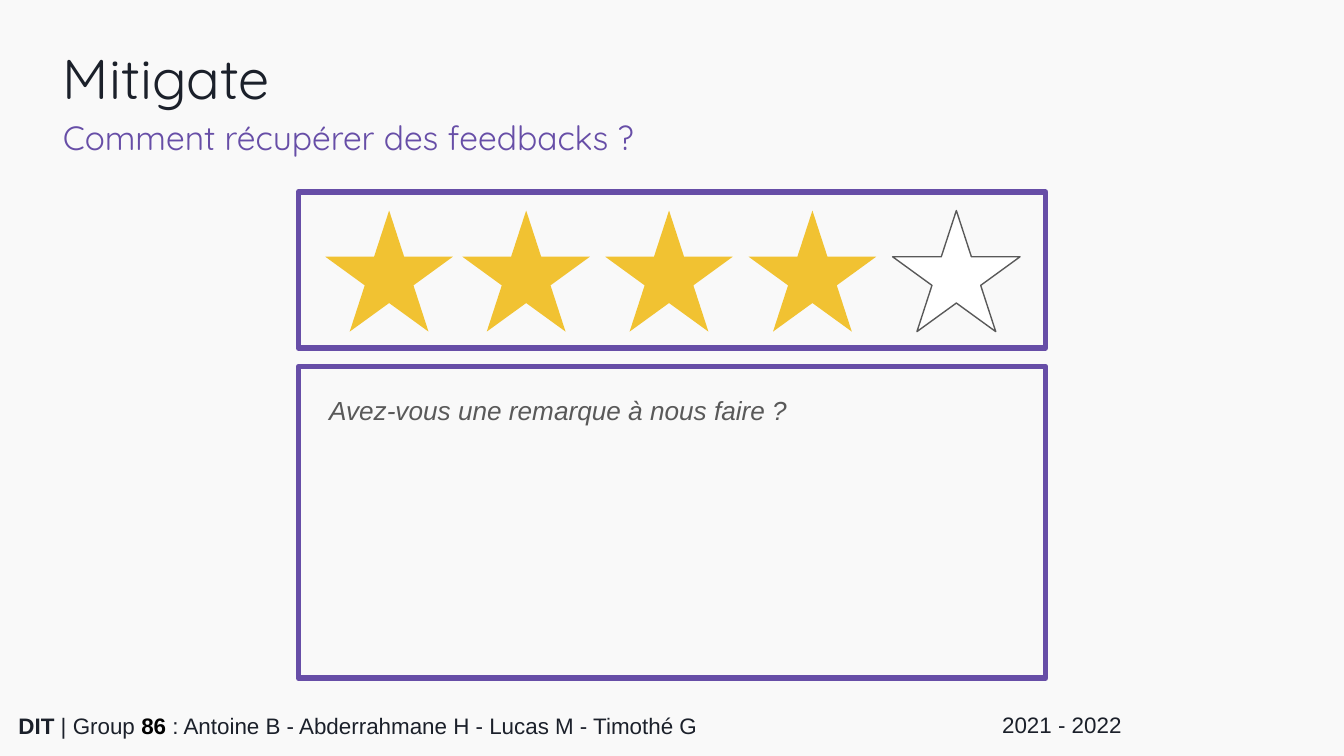
import pptx
import pptx.dml.color
import pptx.enum.shapes
import pptx.enum.text
import pptx.oxml.ns
import pptx.util
import lxml.etree

Cm = pptx.util.Cm
RGBColor = pptx.dml.color.RGBColor
SHAPES = pptx.enum.shapes.MSO_SHAPE
ANCHORS = pptx.enum.text.MSO_ANCHOR

PAPER = RGBColor(0xF9, 0xF9, 0xF9)
INK = RGBColor(0x1B, 0x20, 0x2A)
BLACK = RGBColor(0x00, 0x00, 0x00)
WHITE = RGBColor(0xFF, 0xFF, 0xFF)
PURPLE = RGBColor(0x67, 0x4E, 0xA7)
GOLD = RGBColor(0xF1, 0xC2, 0x32)
GREY = RGBColor(0x59, 0x59, 0x59)

INSET = Cm(0.25)
STAR_OFFSETS = (0.51, 3.1, 5.8, 8.51, 11.23)


def add_text(slide, box, text, size, color=INK, font="Arial", italic=False,
             anchor=ANCHORS.TOP, grow=False):
    frame = slide.shapes.add_textbox(*map(Cm, box)).text_frame
    frame.word_wrap = True
    frame.vertical_anchor = anchor
    if grow:
        frame.auto_size = pptx.enum.text.MSO_AUTO_SIZE.SHAPE_TO_FIT_TEXT
    frame.margin_left = frame.margin_right = INSET
    frame.margin_top = frame.margin_bottom = INSET
    runs = [(text, False, color)] if isinstance(text, str) else text
    for words, bold, run_color in runs:
        run = frame.paragraphs[0].add_run()
        run.text = words
        run.font.name = font
        run.font.size = pptx.util.Pt(size)
        run.font.bold = bold
        run.font.italic = italic
        run.font.color.rgb = run_color


def add_outline(slide, kind, box, fill=None, line=None, width=0.75):
    outline = slide.shapes.add_shape(kind, *map(Cm, box))
    outline.shadow.inherit = False
    if fill is None:
        outline.fill.background()
    else:
        outline.fill.solid()
        outline.fill.fore_color.rgb = fill
    if line is None:
        outline.line.fill.background()
    else:
        outline.line.color.rgb = line
        outline.line.width = pptx.util.Pt(width)
    return outline


def add_frame(slide, box):
    frame = add_outline(slide, SHAPES.RECTANGLE, box, line=PURPLE, width=3)
    stroke = frame.element.spPr.find(pptx.oxml.ns.qn("a:ln"))
    lxml.etree.SubElement(stroke, pptx.oxml.ns.qn("a:round"))


def add_heading(slide, box):
    left, top, width, height = box
    add_text(slide, (left, top, width, 1.78), "Mitigate", 30, font="Quicksand")
    add_text(slide, (left, top + 1.55, width, height - 1.55),
             "Comment récupérer des feedbacks ?", 18, color=PURPLE,
             font="Quicksand", anchor=ANCHORS.MIDDLE)


def add_rating(slide, box, score):
    add_frame(slide, box)
    left, top = box[:2]
    for position, offset in enumerate(STAR_OFFSETS):
        earned = position < score
        add_outline(slide, SHAPES.STAR_5_POINT,
                    (left + offset, top + 0.35, 2.41, 2.29),
                    fill=GOLD if earned else WHITE,
                    line=None if earned else GREY)


def add_remark(slide, box):
    add_frame(slide, box)
    left, top, width = box[:3]
    add_text(slide, (left + 0.33, top + 0.28, width - 1.34, 1.12),
             "Avez-vous une remarque à nous faire ?", 14, color=GREY,
             italic=True, grow=True)


def add_footer(slide, box):
    left, top, width, height = box
    team = [("DIT", True, INK), (" | Group ", False, INK), ("86", True, BLACK),
            (" : Antoine B - Abderrahmane H - Lucas M - Timothé G", False, INK)]
    add_text(slide, (left, top, 18.19, height), team, 12)
    add_text(slide, (left + width - 3.28, top - 0.02, 3.28, height),
             "2021 - 2022", 12)


def main():
    deck = pptx.Presentation()
    deck.slide_width = Cm(25.4)
    deck.slide_height = Cm(14.29)
    slide = deck.slides.add_slide(deck.slide_layouts[6])
    slide.background.fill.solid()
    slide.background.fill.fore_color.rgb = PAPER

    add_footer(slide, (0.1, 13.21, 21.87, 0.97))
    add_heading(slide, (0.94, 0.58, 16.41, 2.46))
    add_rating(slide, (5.64, 3.63, 14.12, 2.95), score=4)
    add_remark(slide, (5.64, 6.93, 14.12, 5.89))

    deck.save("out.pptx")


if __name__ == "__main__":
    main()
